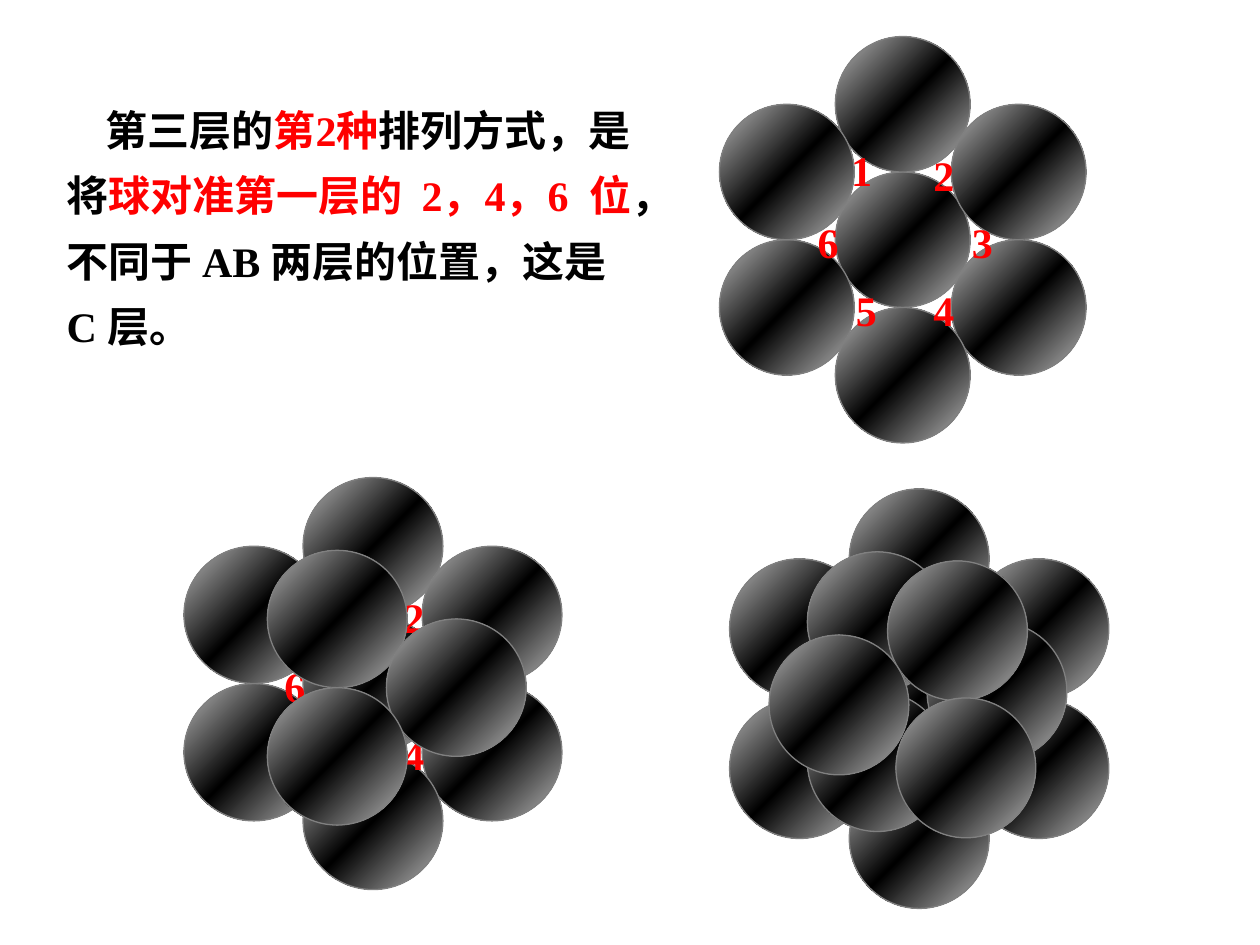
import copy
from dataclasses import dataclass
from typing import NamedTuple

import pptx
import pptx.dml.color
import pptx.enum.shapes
import pptx.enum.text
import pptx.util


@dataclass(frozen=True)
class Theme:
    font: str = "Times New Roman"
    text_size: int = 24
    line_spacing: float = 1.3
    text: str = "000000"
    accent: str = "FF0000"
    sphere_edge: str = "BEBEBE"
    sphere_core: str = "000000"
    outline: str = "808080"
    outline_width: float = 0.75


class Cell(NamedTuple):
    column: float
    row: float


class Label(NamedTuple):
    cell: Cell
    width: float


@dataclass(frozen=True)
class Packing:
    """Grid of touching spheres; one row is half a sphere's height."""
    left: float
    top: float
    width: float
    height: float
    column_step: float

    def place(self, cell: Cell) -> tuple:
        return (pptx.util.Inches(self.left + cell.column * self.column_step),
                pptx.util.Inches(self.top + cell.row * self.height / 2))


THEME = Theme()
LABEL_HEIGHT = 0.5

# Seven spheres of the first layer, from back to front
FIRST_LAYER = [Cell(1, 2), Cell(1, 0), Cell(2, 1), Cell(0, 3),
               Cell(2, 3), Cell(1, 4), Cell(0, 1)]
# Three spheres of the second layer, relative to its first one
SECOND_LAYER = [Cell(0, 0), Cell(1, 1), Cell(0, 2)]
THIRD_LAYER = [Cell(1.32, 1.03), Cell(1.39, 2.99), Cell(0.33, 2.09)]

# Hollows between the spheres
HOLLOWS = {
    "1": Label(Cell(1.03, 1.51), 0.36),
    "2": Label(Cell(1.74, 1.57), 0.24),
    "3": Label(Cell(2.07, 2.57), 0.31),
    "4": Label(Cell(1.74, 3.57), 0.24),
    "5": Label(Cell(1.07, 3.57), 0.25),
    "6": Label(Cell(0.74, 2.57), 0.31),
}

FLAT = Packing(5.71, 0.29, 1.07, 1.075, 0.92)
TWO_LAYERS = Packing(1.46, 3.79, 1.11, 1.09, 0.945)
THREE_LAYERS = Packing(5.79, 3.88, 1.11, 1.11, 0.95)

EXPLANATION = [
    ("第三层的", THEME.text),
    ("第2种", THEME.accent),
    ("排列方式，是将", THEME.text),
    ("球对准第一层的  2，4，6  位", THEME.accent),
    ("，不同于 AB 两层的位置，这是  C 层。", THEME.text),
]


def rgb(value: str) -> pptx.dml.color.RGBColor:
    return pptx.dml.color.RGBColor.from_string(value)


def add_run(paragraph, text: str, color: str) -> None:
    run = paragraph.add_run()
    run.text = text
    run.font.name = THEME.font
    run.font.size = pptx.util.Pt(THEME.text_size)
    run.font.bold = True
    run.font.color.rgb = rgb(color)


def add_sphere(shapes, packing: Packing, cell: Cell) -> None:
    sphere = shapes.add_shape(
        pptx.enum.shapes.MSO_SHAPE.OVAL, *packing.place(cell),
        pptx.util.Inches(packing.width), pptx.util.Inches(packing.height))
    sphere.shadow.inherit = False
    sphere.line.color.rgb = rgb(THEME.outline)
    sphere.line.width = pptx.util.Pt(THEME.outline_width)

    # Diagonal gradient: light edges, dark core
    sphere.fill.gradient()
    sphere.fill.gradient_angle = 315
    stop_list = sphere.fill._fill._gradFill.gsLst
    stop_list.append(copy.deepcopy(stop_list[0]))
    colors = (THEME.sphere_edge, THEME.sphere_core, THEME.sphere_edge)
    for stop, position, color in zip(sphere.fill.gradient_stops, (0, 0.5, 1), colors):
        stop.position = position
        stop.color.rgb = rgb(color)


def add_layer(slide, packing: Packing, cells: list, start: Cell = Cell(0, 0)) -> None:
    group = slide.shapes.add_group_shape()
    for cell in cells:
        add_sphere(group.shapes, packing,
                   Cell(start.column + cell.column, start.row + cell.row))


def add_labels(slide, packing: Packing, numbers: str) -> None:
    group = slide.shapes.add_group_shape()
    for number in numbers:
        label = HOLLOWS[number]
        box = group.shapes.add_textbox(
            *packing.place(label.cell),
            pptx.util.Inches(label.width), pptx.util.Inches(LABEL_HEIGHT))
        box.text_frame.word_wrap = True
        add_run(box.text_frame.paragraphs[0], number, THEME.accent)


def add_explanation(slide) -> None:
    box = slide.shapes.add_textbox(
        pptx.util.Inches(0.43), pptx.util.Inches(0.66),
        pptx.util.Inches(4.8), pptx.util.Inches(2.18))
    box.text_frame.word_wrap = True
    box.text_frame.auto_size = pptx.enum.text.MSO_AUTO_SIZE.SHAPE_TO_FIT_TEXT
    paragraph = box.text_frame.paragraphs[0]
    paragraph.line_spacing = THEME.line_spacing
    properties = paragraph._p.get_or_add_pPr()
    properties.set("marL", "0")
    properties.set("indent", str(pptx.util.Inches(0.31)))
    for text, color in EXPLANATION:
        add_run(paragraph, text, color)


def main() -> None:
    presentation = pptx.Presentation()
    presentation.slide_width = pptx.util.Inches(10)
    presentation.slide_height = pptx.util.Inches(7.5)
    slide = presentation.slides.add_slide(presentation.slide_layouts[6])

    add_explanation(slide)

    # One layer with its numbered hollows
    add_layer(slide, FLAT, FIRST_LAYER)
    add_labels(slide, FLAT, "123456")

    # Two layers, with the hollows left open
    add_layer(slide, TWO_LAYERS, FIRST_LAYER)
    add_labels(slide, TWO_LAYERS, "246")
    add_layer(slide, TWO_LAYERS, SECOND_LAYER, Cell(0.7, 1.06))

    # Three layers
    add_layer(slide, THREE_LAYERS, FIRST_LAYER)
    add_layer(slide, THREE_LAYERS, SECOND_LAYER, Cell(0.65, 0.9))
    for cell in THIRD_LAYER:
        add_sphere(slide.shapes, THREE_LAYERS, cell)

    presentation.save("out.pptx")


if __name__ == "__main__":
    main()
